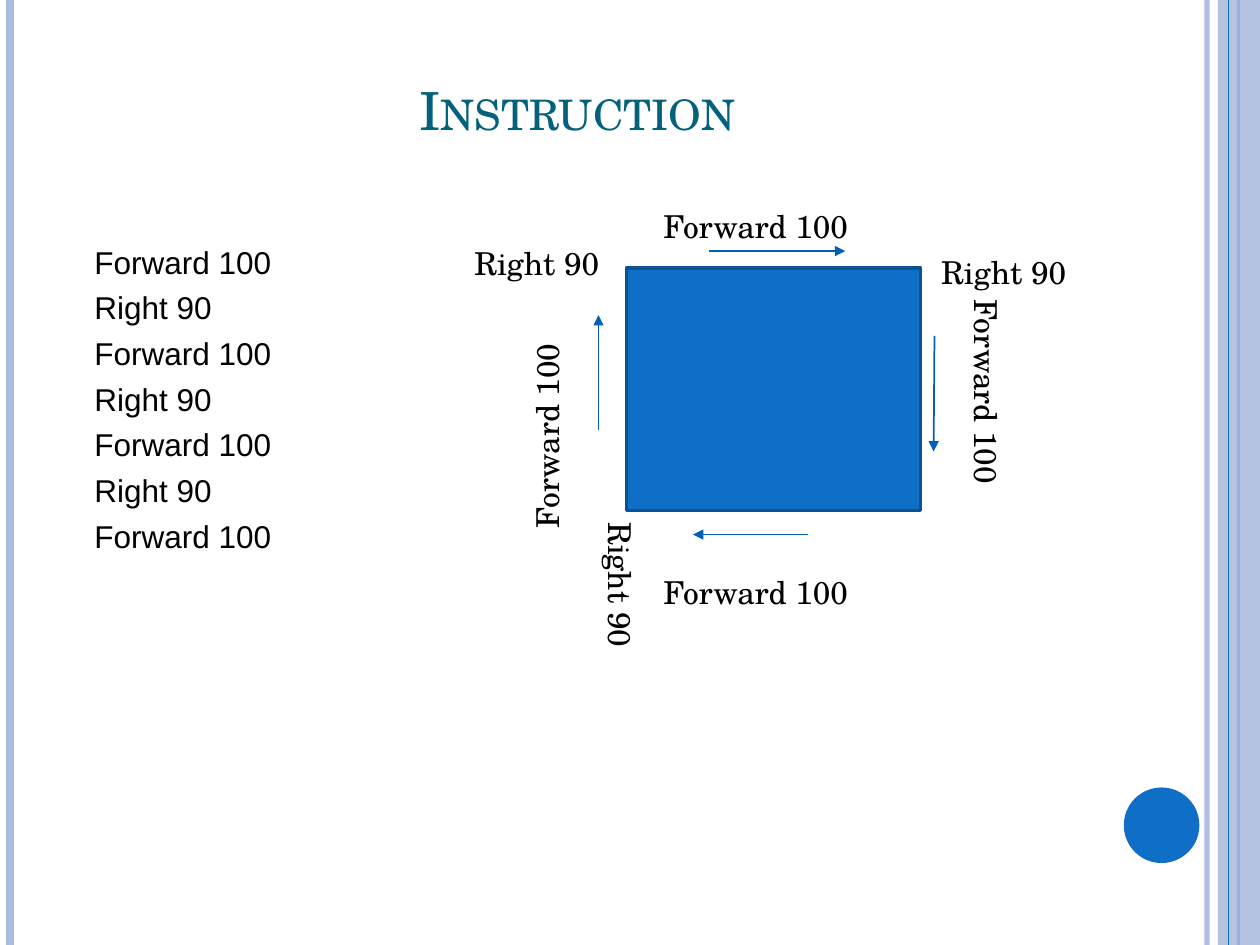
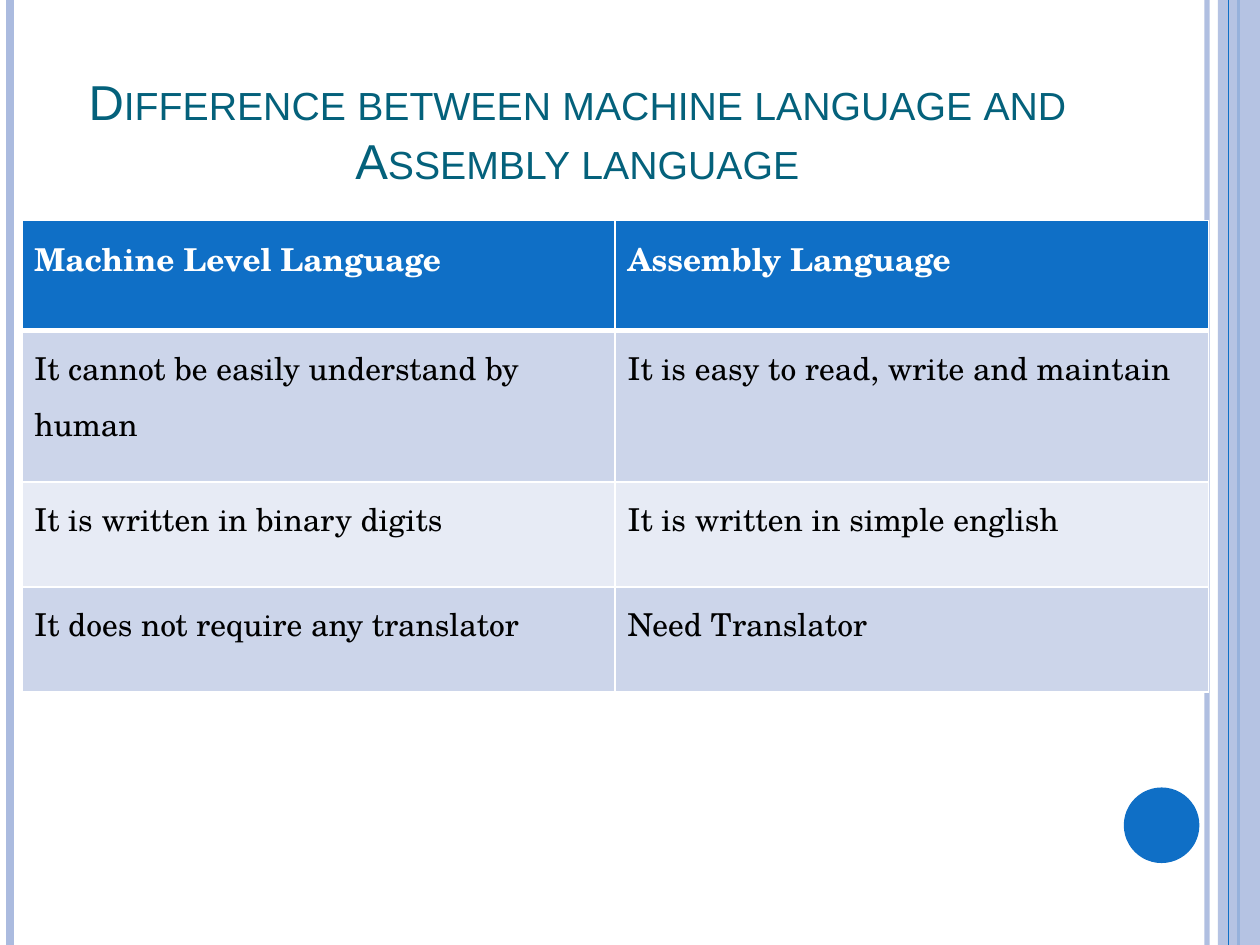
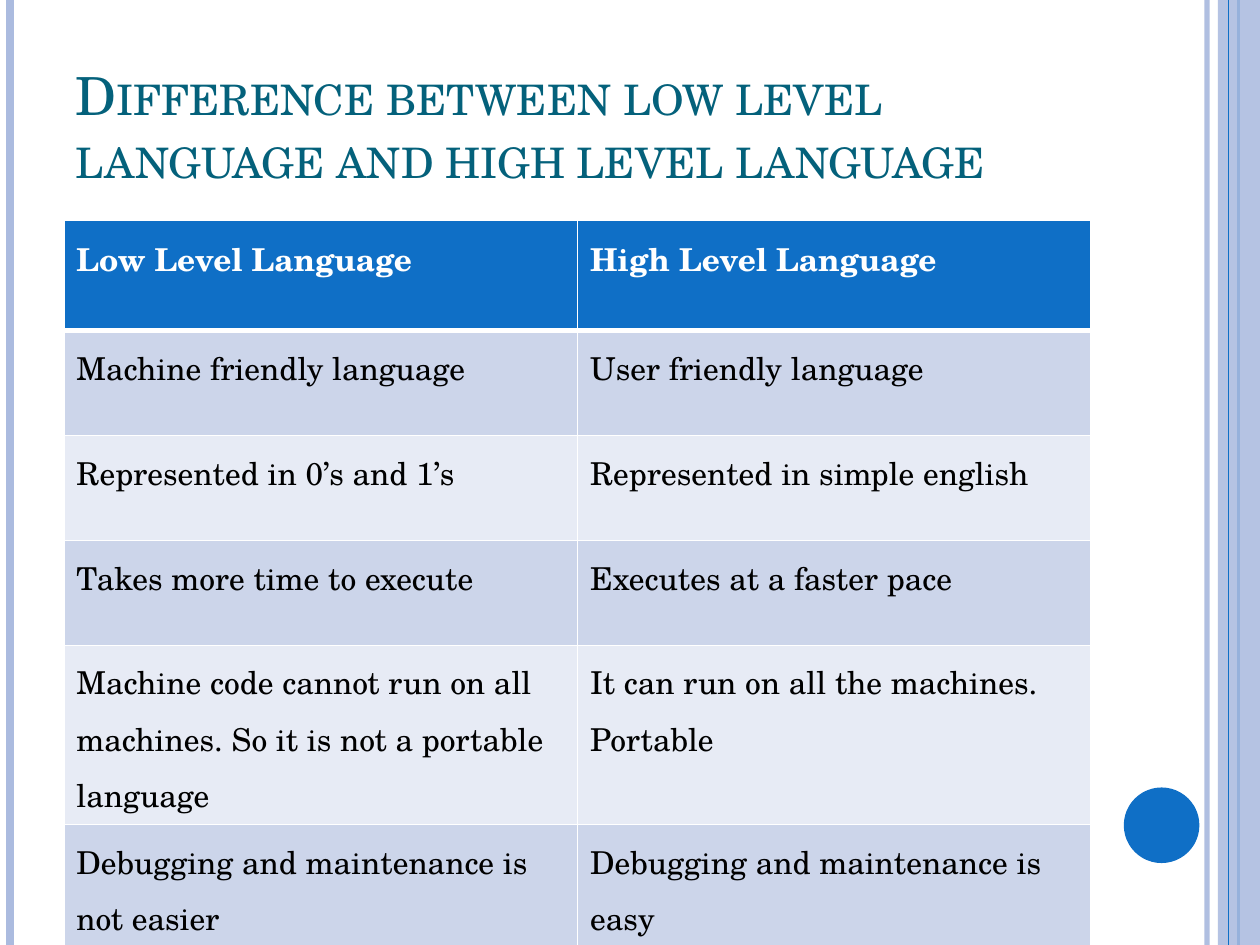
"""Builds three slides on turtle instructions and language comparisons."""
from lxml import etree
from pptx import Presentation
from pptx.dml.color import RGBColor
from pptx.enum import shapes, text
from pptx.oxml import ns
from pptx.util import Pt

COLORS = {"blue": "0F6FC6", "edge": "0B5292", "arrow": "0060B6", "pale": "ABBBDF",
          "title": "04617B", "black": "000000", "white": "FFFFFF",
          "odd": "CCD5EA", "even": "E7EBF5"}
SERIF, SANS = "TeX Gyre Schola", "Arial"
WIDTH, HEIGHT = 720, 540
LABEL_SIZE = 150, 28.8

RULES = [(689.8, "pale", 3, 93), (5.8, "pale", 4.5, 100), (707.8, "blue", 1.5, 100)]
INNER_RULE = (702, "blue", 0.75, 100)
BAND = (696, 0, 24, HEIGHT)
DISC = (642.2, 450, 43.2, 43.2)

STEPS = ["Forward 100", "Right 90"] * 3 + ["Forward 100"]
SQUARE = (358, 153.2, 168, 138.5)
LABELS = [
    ("Forward 100", 372, 324, 0), ("Forward 100", 489, 224.5, 90),
    ("Forward 100", 372, 114.5, 0), ("Forward 100", 237.5, 219.5, 270),
    ("Right 90", 264, 136, 0), ("Right 90", 530.8, 141.2, 0),
    ("Right 90", 280, 352, 90),
]
ARROWS = [(342, 246, 342, 180), (462, 305.5, 396, 305.5),
          (534, 192, 533.5, 258), (405, 143.5, 483, 143.5)]

COMPARISONS = [
    {
        "title": "Difference between machine language and Assembly language",
        "font": SANS, "size": 28, "align": text.PP_ALIGN.CENTER,
        "left": 12.5, "column": 339, "heights": [63, 86.4, 60, 60],
        "rows": [
            ("Machine Level Language", "Assembly Language"),
            ("It cannot be easily understand by human",
             "It is easy to read, write and maintain"),
            ("It is written in binary digits", "It is written in simple english"),
            ("It does not require any translator", "Need Translator"),
        ],
    },
    {
        "title": "Difference between low level language and high level language",
        "font": SERIF, "size": 30, "align": text.PP_ALIGN.LEFT,
        "left": 36.5, "column": 293.5, "heights": [63, 60, 60, 60, 86.4, 86.4],
        "rows": [
            ("Low Level Language", "High Level Language"),
            ("Machine friendly language", "User friendly language"),
            ("Represented in 0’s and 1’s", "Represented in simple english"),
            ("Takes more time to execute", "Executes at a faster pace"),
            ("Machine code cannot run on all\nmachines. So it is not a portable language",
             "It can run on all the machines. Portable"),
            ("Debugging and maintenance is not easier", "Debugging and maintenance is easy"),
        ],
    },
]


def rgb(name):
    return RGBColor.from_string(COLORS[name])


def points(values):
    return [Pt(value) for value in values]


def child(parent, tag, **attributes):
    return etree.SubElement(parent, ns.qn(tag), attributes)


def set_alpha(element, percent):
    if percent < 100:
        color = next(element.iter(ns.qn("a:srgbClr")))
        child(color, "a:alpha", val=str(percent * 1000))


def add_span(para, words, font, size, color, bold=False):
    span = para.add_run()
    span.text = words
    span.font.name, span.font.size, span.font.bold = font, Pt(size), bold
    span.font.color.rgb = rgb(color)
    return span


def add_line(page, ends, color, weight):
    line = page.shapes.add_connector(shapes.MSO_CONNECTOR.STRAIGHT, *points(ends))
    line.line.color.rgb = rgb(color)
    line.line.width = Pt(weight)
    child(line.element.spPr, "a:effectLst")
    return line


def add_solid(page, kind, frame, color):
    shape = page.shapes.add_shape(kind, *points(frame))
    shape.shadow.inherit = False
    shape.fill.solid()
    shape.fill.fore_color.rgb = rgb(color)
    shape.line.fill.background()
    return shape


def add_rule(page, x, color, weight, alpha):
    rule = add_line(page, (x, 0, x, HEIGHT), color, weight)
    set_alpha(rule.element.spPr, alpha)
    return rule


def decorate(layout, page):
    """Draw the shared bands and move them to the layout."""
    for holder in list(layout.placeholders):
        if holder.placeholder_format.type != shapes.PP_PLACEHOLDER.TITLE:
            layout.shapes.element.remove(holder.element)
    parts = [add_rule(page, *rule) for rule in RULES]
    band = add_solid(page, shapes.MSO_SHAPE.RECTANGLE, BAND, "pale")
    set_alpha(band.element.spPr, 87)
    parts += [band, add_rule(page, *INNER_RULE),
              add_solid(page, shapes.MSO_SHAPE.OVAL, DISC, "blue")]
    for part in parts:
        layout.shapes.element.append(part.element)


def set_title(page, words, font, size, align, height):
    box = page.shapes.title
    box.left, box.top, box.width, box.height = points((36, 21.6, 588, height))
    frame = box.text_frame
    frame.word_wrap, frame.auto_size = True, text.MSO_AUTO_SIZE.NONE
    frame.vertical_anchor = text.MSO_ANCHOR.BOTTOM
    para = frame.paragraphs[0]
    para.alignment = align
    span = add_span(para, words, font, size, "title")
    span.font._element.set("cap", "small")


def add_steps(page):
    frame = page.shapes.add_textbox(*points((18, 108, 606, 402))).text_frame
    frame.word_wrap = True
    frame.margin_left, frame.margin_top = Pt(36), Pt(30.6)
    for index, step in enumerate(STEPS):
        para = frame.add_paragraph() if index else frame.paragraphs[0]
        para.space_before = Pt(4.5 if index else 0)
        add_span(para, step, SANS, 18, "black")


def add_diagram(page):
    square = add_solid(page, shapes.MSO_SHAPE.RECTANGLE, SQUARE, "blue")
    square.line.color.rgb = rgb("edge")
    square.line.width = Pt(2)
    for words, left, top, turn in LABELS:
        box = page.shapes.add_textbox(*points((left, top, *LABEL_SIZE)))
        box.rotation = turn
        box.text_frame.word_wrap = True
        add_span(box.text_frame.paragraphs[0], words, SERIF, 18, "black")
    for ends in ARROWS:
        arrow = add_line(page, ends, "arrow", 1)
        child(arrow.line._get_or_add_ln(), "a:tailEnd", type="triangle")


def set_borders(cell, bottom):
    properties = cell._tc.get_or_add_tcPr()
    for index, side in enumerate(("L", "R", "T", "B")):
        weight = bottom if side == "B" else 1
        border = etree.Element(ns.qn(f"a:ln{side}"), w=str(Pt(weight)))
        child(child(border, "a:solidFill"), "a:srgbClr", val=COLORS["white"])
        properties.insert(index, border)


def add_comparison(page, left, column, heights, rows):
    frame = (left, 126, 2 * column, sum(heights))
    table = page.shapes.add_table(len(rows), 2, *points(frame)).table
    for grid_column in table.columns:
        grid_column.width = Pt(column)
    for r, (row, height) in enumerate(zip(rows, heights)):
        table.rows[r].height = Pt(height)
        header = r == 0
        fill = "blue" if header else "odd" if r % 2 else "even"
        for c, words in enumerate(row):
            cell = table.cell(r, c)
            cell.margin_top = Pt(2)
            cell.fill.solid()
            cell.fill.fore_color.rgb = rgb(fill)
            set_borders(cell, 3 if header else 1)
            for index, part in enumerate(words.split("\n")):
                body = cell.text_frame
                para = body.add_paragraph() if index else body.paragraphs[0]
                para.line_spacing = 1.22
                add_span(para, part, SERIF, 18, "white" if header else "black", header)


def main():
    deck = Presentation()
    deck.slide_width, deck.slide_height = Pt(WIDTH), Pt(HEIGHT)
    layout = deck.slide_layouts[5]
    page = deck.slides.add_slide(layout)
    decorate(layout, page)
    set_title(page, "Instruction", SERIF, 30, text.PP_ALIGN.CENTER, 62.6)
    add_steps(page)
    add_diagram(page)
    for item in COMPARISONS:
        page = deck.slides.add_slide(layout)
        set_title(page, item["title"], item["font"], item["size"], item["align"], 90)
        add_comparison(page, item["left"], item["column"], item["heights"], item["rows"])
    deck.save("out.pptx")


if __name__ == "__main__":
    main()
